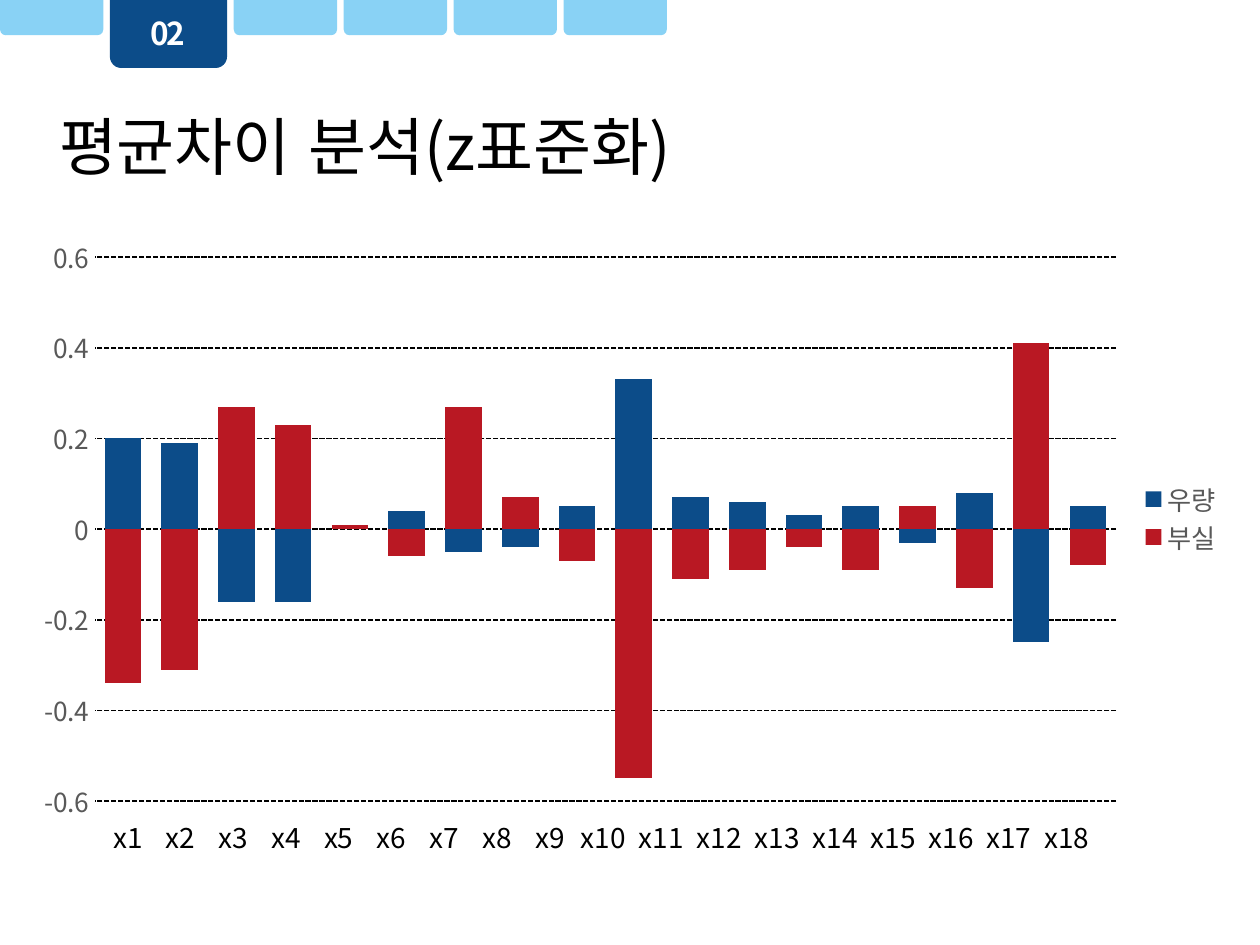
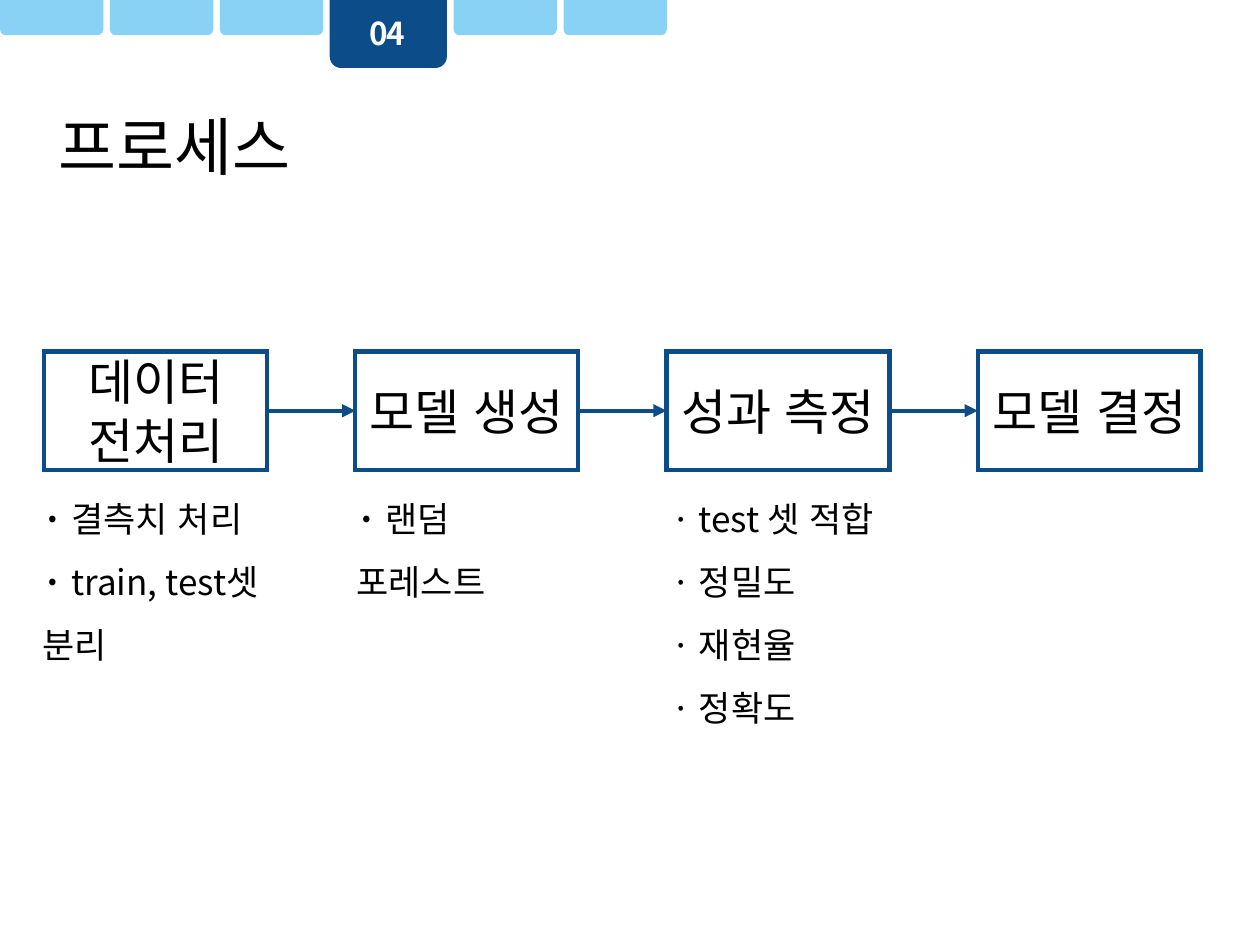
from typing import NamedTuple

from lxml import etree
from pptx import Presentation
from pptx.chart.data import CategoryChartData
from pptx.dml.color import RGBColor
from pptx.enum import chart as charts, dml, lang, shapes, text
from pptx.oxml import ns
from pptx.util import Inches, Pt

NAVY = RGBColor(0x0C, 0x4C, 0x89)
SKY = RGBColor(0x89, 0xD2, 0xF5)
RED = RGBColor(0xB9, 0x18, 0x23)
GRAY = RGBColor(0x59, 0x59, 0x59)
BLACK = RGBColor(0, 0, 0)
WHITE = RGBColor(0xFF, 0xFF, 0xFF)
FONT = "Noto Sans CJK KR"

TAB_COUNT = 6
TAB_WIDTH, TAB_HEIGHT = Inches(0.82), Inches(0.28)
ACTIVE_WIDTH, ACTIVE_HEIGHT = Inches(0.93), Inches(0.54)
TAB_GAP = Inches(0.21) // 4

STEP_LEFT, STEP_TOP, STEP_PITCH = Inches(0.35), Inches(2.79), Inches(2.47)
STEP_WIDTH, STEP_HEIGHT = Inches(1.77), Inches(0.94)
NOTE_TOP = STEP_TOP + STEP_HEIGHT


class Area(NamedTuple):
    left: int
    top: int
    width: int
    height: int


class Series(NamedTuple):
    name: str
    color: RGBColor
    values: tuple[float, ...]


class Note(NamedTuple):
    area: Area
    lines: tuple[str, ...]
    bold_bullet: bool


CHART_AREA = Area(Inches(-0.4), Inches(1.88), Inches(10.31), Inches(4.64))
PLOT_AREA = Area(Inches(1.15), Inches(0.16), Inches(8.11), Inches(4.32))
LEGEND_AREA = Area(Inches(9.42), Inches(1.93), Inches(0.7), Inches(0.6))
SERIES = (
    Series("부실", RED, (-0.34, -0.31, 0.27, 0.23, 0.01, -0.06, 0.27, 0.07, -0.07,
                       -0.55, -0.11, -0.09, -0.04, -0.09, 0.05, -0.13, 0.41, -0.08)),
    Series("우량", NAVY, (0.2, 0.19, -0.16, -0.16, 0, 0.04, -0.05, -0.04, 0.05,
                        0.33, 0.07, 0.06, 0.03, 0.05, -0.03, 0.08, -0.25, 0.05)),
)
VARIABLE_COUNT = len(SERIES[0].values)
STEPS = ("데이터 전처리", "모델 생성", "성과 측정", "모델 결정")
NOTES = (
    Note(Area(Inches(0.24), NOTE_TOP, Inches(2.49), Inches(1.11)),
         ("결측치 처리", "train, test셋 분리"), True),
    Note(Area(Inches(2.73), NOTE_TOP, Inches(1.76), Inches(0.61)),
         ("랜덤 포레스트",), True),
    Note(Area(Inches(5.23), NOTE_TOP, Inches(2.14), Inches(2.12)),
         ("test 셋 적합", "정밀도", "재현율", "정확도"), False),
)


def style_font(font, size: float, color: RGBColor, bold: bool = False) -> None:
    font.size = Pt(size)
    font.bold = bold
    font.color.rgb = color
    font.name = FONT
    font.language_id = lang.MSO_LANGUAGE_ID.KOREAN
    etree.SubElement(font._rPr, ns.qn("a:ea"), typeface=FONT)


def add_run(paragraph, content: str, size: float, color: RGBColor = BLACK, bold: bool = False):
    run = paragraph.add_run()
    run.text = content
    style_font(run.font, size, color, bold)
    return run


def add_text_box(slide, area: Area):
    frame = slide.shapes.add_textbox(*area).text_frame
    frame.word_wrap = True
    frame.auto_size = text.MSO_AUTO_SIZE.SHAPE_TO_FIT_TEXT
    return frame


def add_title(slide, content: str, width: int) -> None:
    frame = add_text_box(slide, Area(Inches(0.37), Inches(0.8), width, Inches(0.71)))
    add_run(frame.paragraphs[0], content, 36)


def add_tabs(slide, active: int) -> None:
    left = 0
    for number in range(1, TAB_COUNT + 1):
        is_active = number == active
        width = ACTIVE_WIDTH if is_active else TAB_WIDTH
        height = ACTIVE_HEIGHT if is_active else TAB_HEIGHT
        tab = slide.shapes.add_shape(
            shapes.MSO_SHAPE.ROUND_2_SAME_RECTANGLE, left, 0, width, height)
        tab.shadow.inherit = False
        tab.fill.solid()
        tab.fill.fore_color.rgb = NAVY if is_active else SKY
        tab.line.fill.background()
        tab._element.spPr.xfrm.set("flipV", "1")
        if is_active:
            area = Area(left + Inches(0.22), Inches(0.06), Inches(0.49), Inches(0.4))
            frame = add_text_box(slide, area)
            run = add_run(frame.paragraphs[0], f"{number:02}", 18, WHITE, True)
            run.font._rPr.set("spc", "-100")
        left += width + TAB_GAP


def set_layout(parent, index: int, area: Area, target: str = "") -> None:
    layout = parent.find(ns.qn("c:layout"))
    if layout is None:
        layout = etree.Element(ns.qn("c:layout"))
        parent.insert(index, layout)
    manual = etree.SubElement(layout, ns.qn("c:manualLayout"))
    settings = {"layoutTarget": target} if target else {}
    settings |= {
        "xMode": "edge", "yMode": "edge",
        "x": area.left / CHART_AREA.width, "y": area.top / CHART_AREA.height,
        "w": area.width / CHART_AREA.width, "h": area.height / CHART_AREA.height,
    }
    for name, value in settings.items():
        etree.SubElement(manual, ns.qn(f"c:{name}"), val=str(value))


def add_difference_chart(slide) -> None:
    data = CategoryChartData()
    data.categories = [str(number) for number in range(1, VARIABLE_COUNT + 1)]
    for series in SERIES:
        data.add_series(series.name, series.values)
    chart = slide.shapes.add_chart(
        charts.XL_CHART_TYPE.COLUMN_STACKED, *CHART_AREA, data).chart
    style_font(chart.font, 15, BLACK)
    chart.has_title = False
    set_layout(chart._chartSpace.chart.plotArea, 0, PLOT_AREA, "inner")

    chart.has_legend = True
    legend = chart.legend
    legend.position = charts.XL_LEGEND_POSITION.RIGHT
    legend.include_in_layout = False
    style_font(legend.font, 15, GRAY)
    set_layout(legend._element, 1, LEGEND_AREA)

    chart.category_axis.visible = False
    axis = chart.value_axis
    axis.major_tick_mark = axis.minor_tick_mark = charts.XL_TICK_MARK.NONE
    axis.format.line.fill.background()
    style_font(axis.tick_labels.font, 15, GRAY)
    grid = axis.major_gridlines.format.line
    grid.color.rgb = BLACK
    grid.width = Pt(1)
    grid.dash_style = dml.MSO_LINE.SQUARE_DOT

    plot = chart.plots[0]
    plot.gap_width, plot.overlap = 55, 100
    plot.vary_by_categories = False
    for bars, series in zip(plot.series, SERIES):
        bars.invert_if_negative = False
        bars.format.fill.solid()
        bars.format.fill.fore_color.rgb = series.color


def add_variable_labels(slide) -> None:
    frame = add_text_box(slide, Area(Inches(0.8), Inches(6.46), Inches(8.19), Inches(0.37)))
    paragraph = frame.paragraphs[0]
    stops = etree.SubElement(paragraph._p.get_or_add_pPr(), ns.qn("a:tabLst"))
    position = Inches(0.11)
    for number in range(2, VARIABLE_COUNT + 1):
        position += Inches(0.42) if number <= 10 else Inches(0.46)
        etree.SubElement(stops, ns.qn("a:tab"), pos=str(position), algn="ctr")
    labels = [f"x{number}" for number in range(1, VARIABLE_COUNT + 1)]
    add_run(paragraph, "\t".join(labels), 16)


def add_step(slide, index: int, label: str):
    box = slide.shapes.add_shape(
        shapes.MSO_SHAPE.RECTANGLE, STEP_LEFT + index * STEP_PITCH, STEP_TOP,
        STEP_WIDTH, STEP_HEIGHT)
    box.shadow.inherit = False
    box.fill.background()
    box.line.color.rgb = NAVY
    box.line.width = Pt(2.5)
    etree.SubElement(box.line._get_or_add_ln(), ns.qn("a:miter"), lim="800000")
    box.text_frame.word_wrap = True
    box.text_frame.vertical_anchor = text.MSO_ANCHOR.MIDDLE
    paragraph = box.text_frame.paragraphs[0]
    paragraph.alignment = text.PP_ALIGN.CENTER
    add_run(paragraph, label, 28)
    return box


def add_arrow(slide, start, end) -> None:
    arrow = slide.shapes.add_connector(shapes.MSO_CONNECTOR.STRAIGHT, 0, 0, 0, 0)
    arrow.begin_connect(start, 3)
    arrow.end_connect(end, 1)
    arrow.line.color.rgb = NAVY
    arrow.line.width = Pt(2.5)
    etree.SubElement(arrow.line._get_or_add_ln(), ns.qn("a:tailEnd"), type="triangle")
    etree.SubElement(arrow._element.spPr, ns.qn("a:effectLst"))


def add_note(slide, note: Note) -> None:
    frame = add_text_box(slide, note.area)
    for index, line in enumerate(note.lines):
        paragraph = frame.add_paragraph() if index else frame.paragraphs[0]
        paragraph.line_spacing = 1.5
        add_run(paragraph, "· ", 20, bold=note.bold_bullet)
        add_run(paragraph, line, 20)


def build_difference_slide(slide) -> None:
    add_difference_chart(slide)
    add_variable_labels(slide)
    add_title(slide, "평균차이 분석(z표준화)", Inches(7.45))
    add_tabs(slide, 2)


def build_process_slide(slide) -> None:
    add_tabs(slide, 4)
    add_title(slide, "프로세스", Inches(4.36))
    boxes = [add_step(slide, index, label) for index, label in enumerate(STEPS)]
    for note in NOTES:
        add_note(slide, note)
    for start, end in zip(boxes, boxes[1:]):
        add_arrow(slide, start, end)


def main() -> None:
    presentation = Presentation()
    presentation.slide_width, presentation.slide_height = Inches(10), Inches(7.5)
    for build in (build_difference_slide, build_process_slide):
        build(presentation.slides.add_slide(presentation.slide_layouts[6]))
    presentation.save("out.pptx")


if __name__ == "__main__":
    main()
